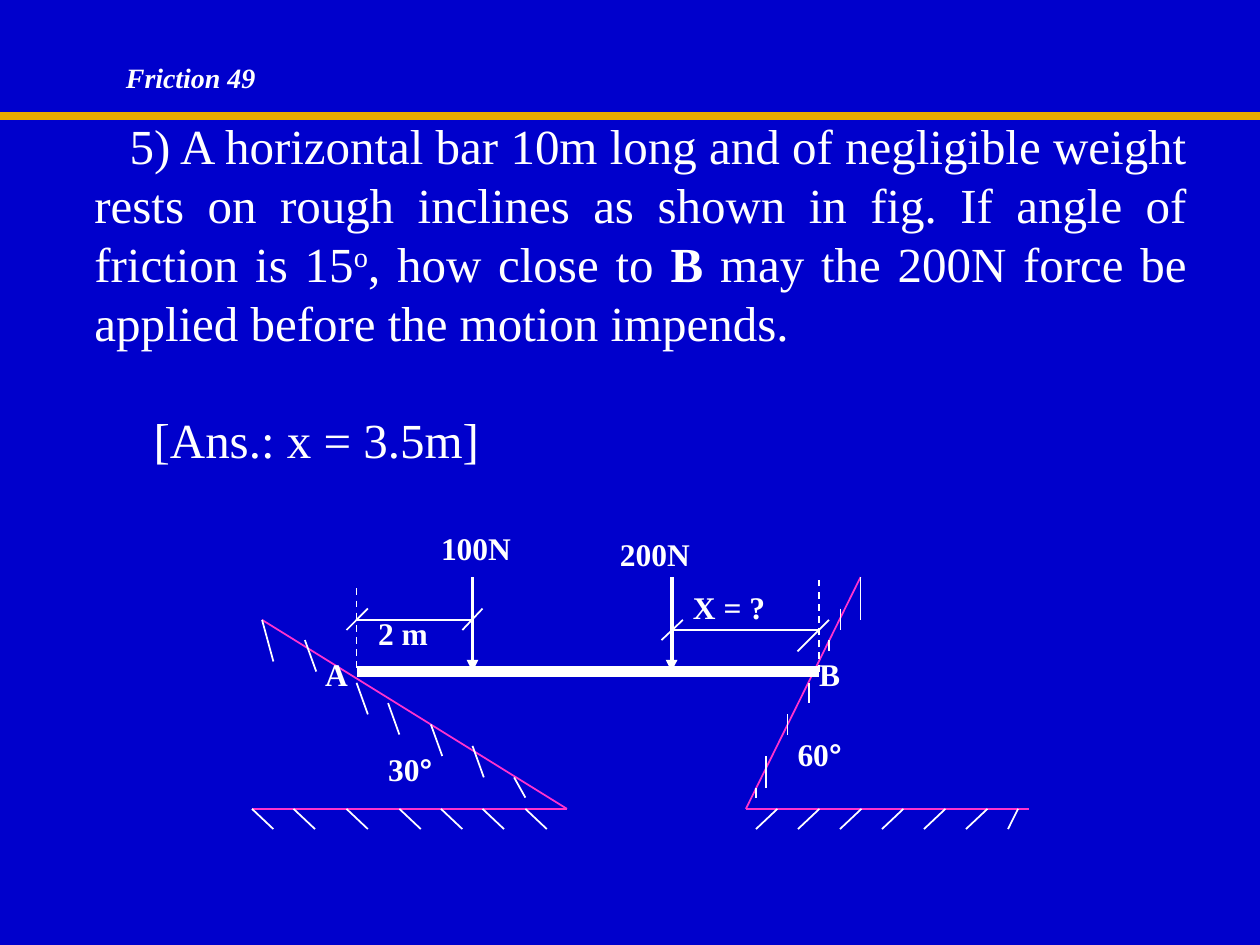
"""Build the slide on a bar that rests on two rough inclines."""
import math

from lxml import etree
from pptx import Presentation
from pptx import util as u
from pptx.dml.color import RGBColor
from pptx.enum import dml, shapes, text
from pptx.oxml import ns

WHITE, PINK, GOLD, BLUE = "FFFFFF", "FF33CC", "E8AB00", "0000CC"
SERIF = "Times New Roman"
GROUND = 6.42
LABEL = {"size": u.Pt(18), "bold": True}

LABELS = [
    (3.5, 4.2, 0.75, [("100N", {})]),
    (4.92, 4.25, 0.75, [("200N", {})]),
    (3, 4.87, 0.58, [("2 m", {})]),
    (5.5, 4.67, 1.17, [("X = ?", {})]),
    (2.58, 5.2, 0.5, [("A", {})]),
    (6.5, 5.2, 0.58, [("B", {})]),
    (3.08, 5.95, 0.58, [("30", {}), ("°", {"name": "Arial"})]),
    (6.33, 5.83, 1, [("60", {}), ("°", {"name": "Arial"})]),
]
INCLINES = [
    (2.08, 4.92, 4.5, GROUND),
    (4.5, GROUND, 2, GROUND),
    (6.83, 4.58, 5.92, GROUND),
    (5.92, GROUND, 8.17, GROUND),
]
DIMENSIONS = [
    (2.83, 4.92, 3.75, 4.92),
    (3.83, 4.83, 3.67, 5),
    (2.92, 4.83, 2.75, 5),
    (5.33, 5, 6.5, 5),
    (5.42, 4.92, 5.25, 5.08),
    (6.58, 4.92, 6.33, 5.17),
]
LEFT_SLOPE = [
    (2.08, 4.92, 0.33), (2.42, 5.08, 0.25), (2.83, 5.42, 0.25), (3.08, 5.58, 0.25),
    (3.42, 5.75, 0.25), (3.75, 5.92, 0.25), (4.08, 6.17, 0.16),
]
RIGHT_SLOPE = [
    (6.83, 4.58, 0.34), (6.67, 4.83, 0.17), (6.58, 5.08, 0.09), (6.42, 5.42, 0.16),
    (6.25, 5.67, 0.16), (6.08, 6, 0.25), (6, 6.25, 0.08),
]
LEFT_GROUND = [2, 2.33, 2.75, 3.17, 3.5, 3.83, 4.17]


def color(code):
    """Turn a hex string into a colour."""
    return RGBColor.from_string(code)


def apply(target, values):
    """Set each attribute in a dict of format values."""
    for name, value in values.items():
        setattr(target, name, value)


def add_line(page, x1, y1, x2, y2, code=WHITE, width=1, dashed=False, arrow=False):
    """Draw a straight line with an optional dash or arrowhead."""
    ends = [u.Inches(value) for value in (x1, y1, x2, y2)]
    line = page.shapes.add_connector(shapes.MSO_CONNECTOR.STRAIGHT, *ends)
    line.line.width = u.Pt(width)
    line.line.color.rgb = color(code)
    if dashed:
        line.line.dash_style = dml.MSO_LINE.DASH
    if arrow:
        etree.SubElement(line.line._get_or_add_ln(), ns.qn("a:tailEnd"), type="triangle")
    etree.SubElement(line._element.spPr, ns.qn("a:effectLst"))


def add_lines(page, lines, **style):
    """Draw several lines in one style."""
    for ends in lines:
        add_line(page, *ends, **style)


def add_arc(page, center_x, center_y, radius_x, radius_y, start):
    """Draw an open quarter ellipse counterclockwise from a start angle."""
    angles = [math.radians(start + 90 * step / 24) for step in range(25)]
    points = [
        (center_x + radius_x * math.cos(angle), center_y - radius_y * math.sin(angle))
        for angle in angles
    ]
    builder = page.shapes.build_freeform(*points[0], scale=u.Inches(1))
    builder.add_line_segments(points[1:], close=False)
    arc = builder.convert_to_shape()
    arc.shadow.inherit = False
    arc.fill.background()
    arc.line.color.rgb = color(WHITE)
    arc.line.width = u.Pt(1)


def add_box(page, left, top, width, height):
    """Add a text box without margins and return its frame."""
    box = page.shapes.add_textbox(*(u.Inches(value) for value in (left, top, width, height)))
    margins = dict.fromkeys(("margin_left", "margin_top", "margin_right", "margin_bottom"), 0)
    apply(box.text_frame, {"word_wrap": True, **margins})
    return box.text_frame


def fill_para(para, spans, font):
    """Write spans of text into a paragraph."""
    para.line_spacing = u.Pt(round(font["size"].pt * 1.2, 1))
    for words, changes in spans:
        span = para.add_run()
        span.text = words
        span.font.color.rgb = color(WHITE)
        values = {"name": SERIF, **font, **changes}
        raised = values.pop("raised", None)
        apply(span.font, values)
        if raised:
            span.font._element.set("baseline", raised)


def add_label(page, left, top, width, spans, height=0.3, font=LABEL):
    """Add a one-line label."""
    fill_para(add_box(page, left, top, width, height).paragraphs[0], spans, font)


def add_problem(page):
    """Add the question and its answer."""
    frame = add_box(page, 0.25, 0.92, 9.17, 3.74)
    question = [
        ("5) A horizontal bar 10m long and of negligible weight rests on rough inclines "
         "as shown in fig. If angle of friction is 15", {}),
        ("o", {"raised": "30000"}),
        (", how close to ", {}),
        ("B", {"bold": True}),
        (" may the 200N force be applied before the motion impends.", {}),
    ]
    answer = [("[Ans.: x = 3.5m]", {})]
    paras = [frame.paragraphs[0], frame.add_paragraph()]
    for para, spans, indent in zip(paras, (question, answer), (0.28, 0.47)):
        fill_para(para, spans, {"size": u.Pt(28)})
        para.alignment = text.PP_ALIGN.JUSTIFY
        properties = para._p.get_or_add_pPr()
        properties.set("marL", str(u.Inches(0.5)))
        properties.set("indent", str(u.Inches(indent)))
    paras[1].space_before = u.Pt(33.6)


def add_diagram(page):
    """Draw the bar, loads, dimensions, inclines and angles."""
    add_lines(page, INCLINES, code=PINK)
    add_line(page, 2.83, 5.33, 6.5, 5.33, width=6)
    add_lines(page, [(x, 4.58, x, 5.33) for x in (3.75, 5.33)], width=2.25, arrow=True)
    add_lines(page, [(2.83, 4.67, 2.83, 5.33), (6.5, 5.33, 6.5, 4.58)], dashed=True)
    add_lines(page, DIMENSIONS)
    add_arc(page, 3.92, GROUND, 0.17, 0.34, 90)
    add_arc(page, 6.08, 6.5, 0.25, 0.58, 0)
    for label in LABELS:
        add_label(page, *label)


def add_hatching(page):
    """Draw the hatch strokes on the slopes and the ground."""
    add_lines(page, [(x, y, x + 0.09, y + drop) for x, y, drop in LEFT_SLOPE])
    add_lines(page, [(x, y, x, y + drop) for x, y, drop in RIGHT_SLOPE])
    add_lines(page, [(x, GROUND, x + 0.17, 6.58) for x in LEFT_GROUND])
    right_ground = [6.17 + step / 3 for step in range(6)]
    add_lines(page, [(x, GROUND, x - 0.17, 6.58) for x in right_ground])
    add_line(page, 8.08, GROUND, 8, 6.58)


def main():
    """Build and save the deck."""
    deck = Presentation()
    apply(deck, {"slide_width": u.Inches(10), "slide_height": u.Inches(7.5)})
    page = deck.slides.add_slide(deck.slide_layouts[6])
    page.background.fill.solid()
    page.background.fill.fore_color.rgb = color(BLUE)
    add_line(page, -0.03, 0.92, 10, 0.92, code=GOLD, width=4.5)
    add_problem(page)
    heading = {"size": u.Pt(16), "bold": True, "italic": True}
    add_label(page, 1, 0.48, 1.67, [("Friction 49", {})], height=0.27, font=heading)
    add_diagram(page)
    add_hatching(page)
    deck.save("out.pptx")


if __name__ == "__main__":
    main()
